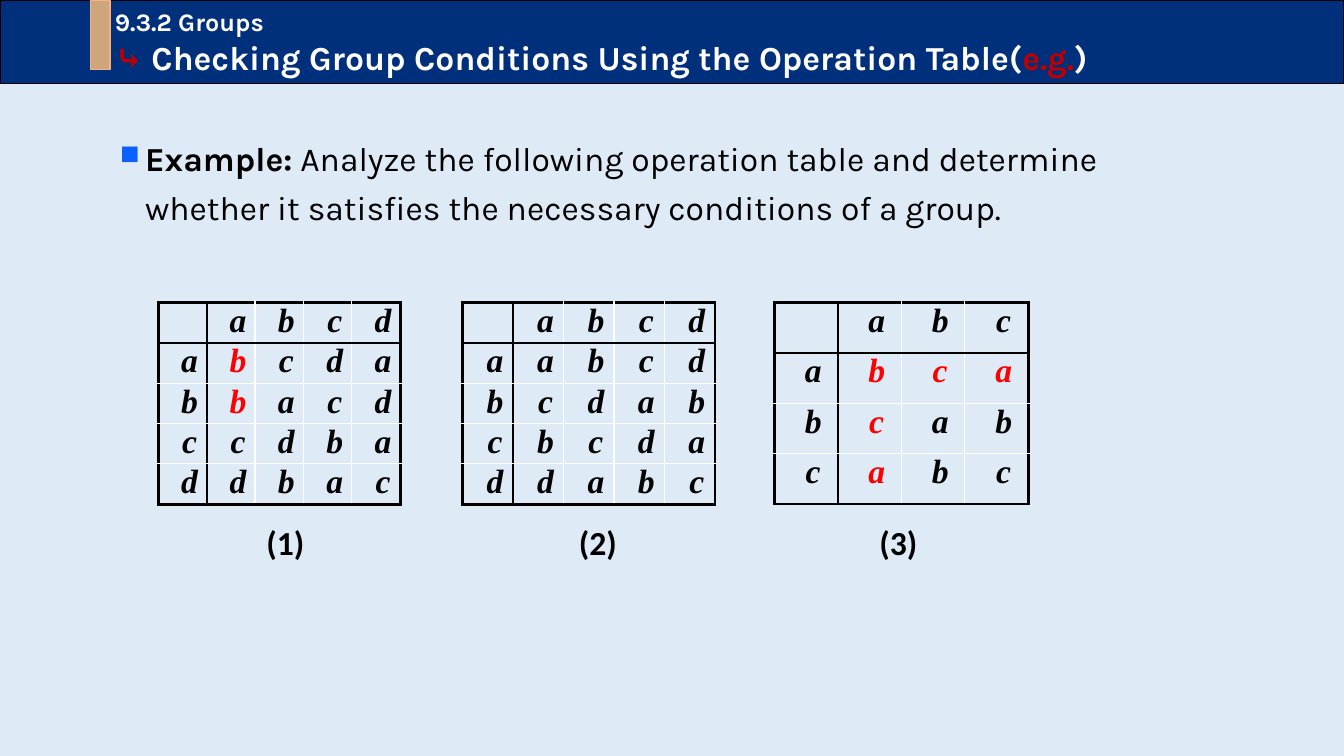
"""Build the slide on checking group conditions with three operation tables."""
from lxml.etree import SubElement
from pptx import Presentation
from pptx.dml.color import RGBColor
from pptx.enum.shapes import MSO_SHAPE
from pptx.enum.text import MSO_ANCHOR, MSO_AUTO_SIZE, PP_ALIGN
from pptx.oxml.ns import qn
from pptx.util import Inches, Pt

COLORS = {
    "background": "DEEBF7", "navy": "002F7C", "tan": "CFA57C", "peach": "F4B183",
    "white": "FFFFFF", "black": "000000", "dark red": "C00000", "red": "FF0000",
    "bullet": "0B61FF",
}


def add_span(para, text, color, **formats):
    span = para.add_run()
    span.text = text
    span.font.color.rgb = RGBColor.from_string(COLORS[color])
    for name, value in formats.items():
        setattr(span.font, name, value)


def add_border(properties, side, position, count):
    color, points = "white", 1
    if position in (0, count):
        color, points = "black", 2.25
    elif position == 1:
        color, points = "black", 1.5
    line = SubElement(properties, qn(f"a:{side}"), w=str(Pt(points)))
    fill = SubElement(line, qn("a:solidFill"))
    SubElement(fill, qn("a:srgbClr"), val=COLORS[color])


deck = Presentation()
deck.slide_width, deck.slide_height = Inches(13.33), Inches(7.5)
page = deck.slides.add_slide(deck.slide_layouts[6])
page.background.fill.solid()
page.background.fill.fore_color.rgb = RGBColor.from_string(COLORS["background"])

bars = []
for left, width, height, fill, line in [
    (0, 13.33, 0.83, "navy", "black"),
    (0.9, 0.19, 0.69, "tan", "peach"),
]:
    bar = page.shapes.add_shape(
        MSO_SHAPE.RECTANGLE, Inches(left), 0, Inches(width), Inches(height))
    bar.shadow.inherit = False
    bar.fill.solid()
    bar.fill.fore_color.rgb = RGBColor.from_string(COLORS[fill])
    bar.line.color.rgb = RGBColor.from_string(COLORS[line])
    bar.line.width = Pt(1)
    bars.append(bar)

title = bars[0].text_frame
title.vertical_anchor = MSO_ANCHOR.MIDDLE
section, heading = title.paragraphs[0], title.add_paragraph()
for para in (section, heading):
    para.alignment = PP_ALIGN.LEFT
    para._p.get_or_add_pPr().set("marL", str(Inches(1.04)))
add_span(section, "9.3.2 Groups", "white", size=Pt(18), name="Karla", bold=True)
for text, color in [
    ("⤷ ", "dark red"),
    ("Checking Group Conditions Using the Operation Table(", "white"),
    ("e.g.", "dark red"),
    (")", "white"),
]:
    add_span(heading, text, color, size=Pt(24), name="Karla", bold=True)

box = page.shapes.add_textbox(Inches(1.09), Inches(1.24), Inches(10.8), Inches(1.32))
box.text_frame.word_wrap = True
para = box.text_frame.paragraphs[0]
para.line_spacing = 1.2
properties = para._p.get_or_add_pPr()
properties.set("marL", str(Inches(0.25)))
properties.set("indent", str(Inches(-0.25)))
SubElement(SubElement(properties, qn("a:buClr")), qn("a:srgbClr"), val=COLORS["bullet"])
SubElement(properties, qn("a:buSzPct"), val="80000")
SubElement(properties, qn("a:buChar"), char="■")
question = (" Analyze the following operation table and determine whether it "
            "satisfies the necessary conditions of a group.")
for text, bold in [("Example:", True), (question, False)]:
    add_span(para, text, "black", size=Pt(24), name="Karla", bold=bold)

OPERATION_TABLES = [
    (1.57, 0.48, 0.37, ["bcda", "bacd", "cdba", "dbac"], {(1, 1), (2, 1)}),
    (4.59, 0.5, 0.37, ["abcd", "cdab", "bcda", "dabc"], set()),
    (7.68, 0.63, 0.5, ["bca", "cab", "abc"], {(1, 1), (1, 2), (1, 3), (2, 1), (3, 1)}),
]
for left, column_width, row_height, products, marked in OPERATION_TABLES:
    count = len(products) + 1
    elements = "abcd"[:count - 1]
    rows = [["", *elements]]
    rows += [[element, *values] for element, values in zip(elements, products)]
    table = page.shapes.add_table(
        count, count, Inches(left), Inches(3),
        Inches(column_width * count), Inches(row_height * count)).table
    table.first_row = table.horz_banding = False
    for row, letters in enumerate(rows):
        for column, letter in enumerate(letters):
            cell = table.cell(row, column)
            cell.margin_left = cell.margin_right = Inches(0.07)
            cell.margin_top = cell.margin_bottom = 0
            properties = cell._tc.get_or_add_tcPr()
            for side, position in [("lnL", column), ("lnR", column + 1),
                                   ("lnT", row), ("lnB", row + 1)]:
                add_border(properties, side, position, count)
            cell.fill.background()
            if letter:
                para = cell.text_frame.paragraphs[0]
                para.alignment = PP_ALIGN.CENTER
                para._p.get_or_add_pPr().set("indent", str(Inches(0.14)))
                color = "red" if (row, column) in marked else "black"
                add_span(para, letter, color, size=Pt(24), name="Times New Roman",
                         bold=True, italic=True)

for number, left in enumerate([2.48, 5.58, 8.56], start=1):
    label = page.shapes.add_textbox(Inches(left), Inches(5.13), Inches(0.7), Inches(0.5))
    label.text_frame.word_wrap = True
    label.text_frame.auto_size = MSO_AUTO_SIZE.SHAPE_TO_FIT_TEXT
    para = label.text_frame.paragraphs[0]
    para.alignment = PP_ALIGN.CENTER
    add_span(para, f"({number})", "black", size=Pt(24), name="Calibri", bold=True)

deck.save("out.pptx")
